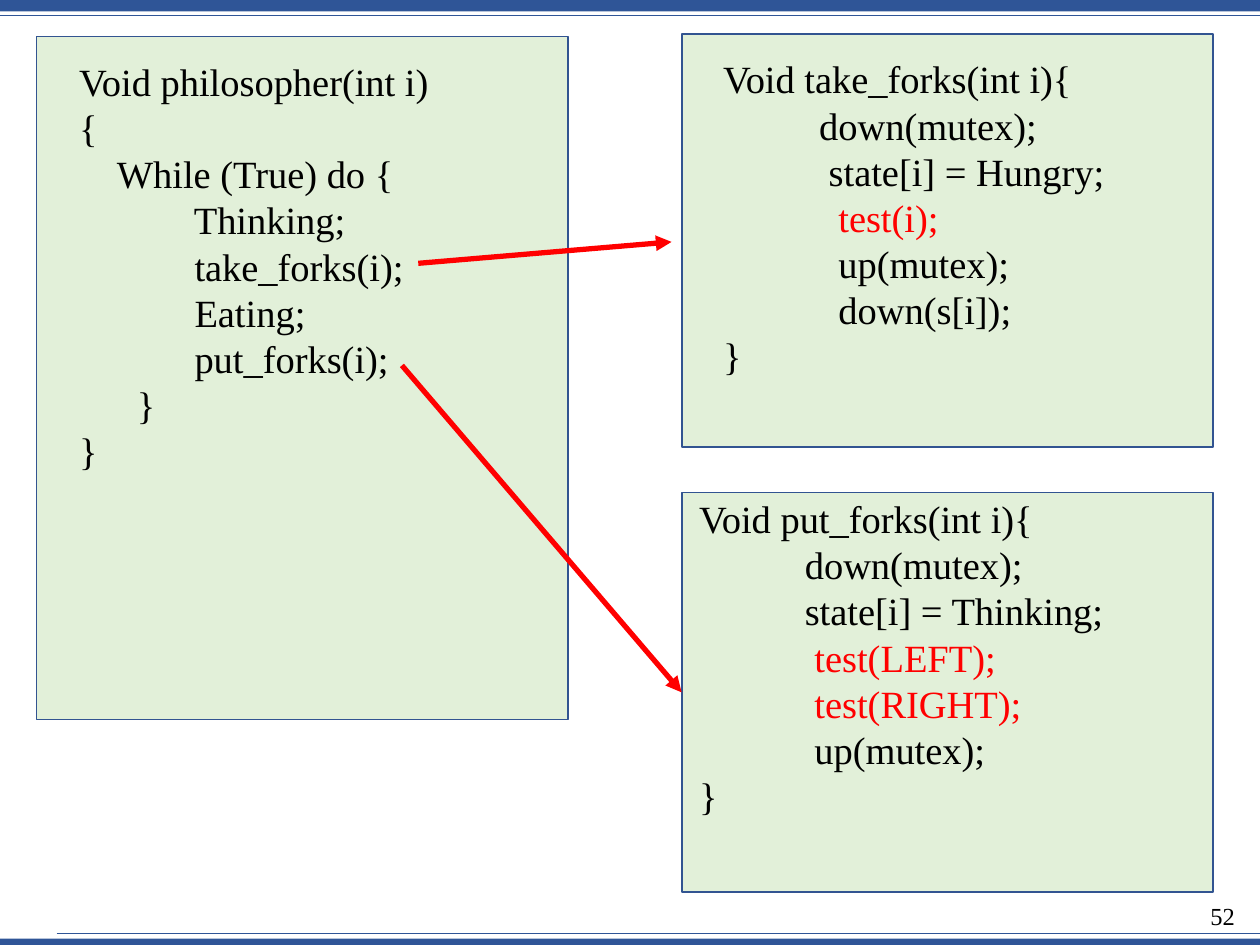
from dataclasses import dataclass
from typing import Optional

from pptx import Presentation
from pptx.dml.color import RGBColor
from pptx.enum.shapes import MSO_CONNECTOR, MSO_SHAPE
from pptx.enum.text import MSO_ANCHOR, PP_ALIGN
from pptx.oxml.ns import qn
from pptx.shapes.autoshape import Shape
from pptx.shapes.connector import Connector
from pptx.slide import Slide
from pptx.util import Inches, Pt
from lxml.etree import SubElement

COLUMN = Inches(10) / 100
ROW = Inches(7.5) / 75
FONT = "Times New Roman"
BLUE = RGBColor(0x2F, 0x55, 0x97)
BORDER = RGBColor(0x32, 0x54, 0x91)
GREEN = RGBColor(0xE2, 0xF0, 0xD9)
RED = RGBColor(0xFF, 0x00, 0x00)
BLACK = RGBColor(0x00, 0x00, 0x00)


@dataclass(frozen=True)
class Area:
    """Place on the grid, in columns and rows."""
    left: float
    top: float
    width: float
    height: float

    def lengths(self) -> tuple[int, int, int, int]:
        """Return left, top, width and height in slide units."""
        return (round(self.left * COLUMN), round(self.top * ROW),
                round(self.width * COLUMN), round(self.height * ROW))


@dataclass(frozen=True)
class CodePanel:
    """Framed listing whose calls to test are highlighted."""
    frame: Area
    listing: Area
    code: str


@dataclass(frozen=True)
class Line:
    """Straight line between two grid points."""
    start: tuple[float, float]
    end: tuple[float, float]
    color: RGBColor
    weight: float
    arrow: bool = False


BANDS = (Area(0, 74.5, 100, 0.5), Area(0, 0, 100, 0.9))
RULES = (
    Line((0, 1.2), (100, 1.2), BLUE, 0.5),
    Line((4.5, 74.1), (100, 74.1), BLUE, 0.5),
)
PANELS = (
    CodePanel(Area(2.9, 2.9, 42.2, 54.2), Area(5.3, 4.1, 37.8, 34.3), """\
Void philosopher(int i)
{
    While (True) do {
            Thinking;
            take_forks(i);
            Eating;
            put_forks(i);
      }
}"""),
    CodePanel(Area(54.1, 2.7, 42.2, 32.8), Area(56.4, 3.9, 43, 26.9), """\
Void take_forks(int i){
          down(mutex);
           state[i] = Hungry;
            test(i);
            up(mutex);
            down(s[i]);
}"""),
    CodePanel(Area(54.1, 39.1, 42.2, 31.7), Area(54.5, 38.8, 44.5, 26.9), """\
Void put_forks(int i){
           down(mutex);
           state[i] = Thinking;
            test(LEFT);
            test(RIGHT);
            up(mutex);
}"""),
)
TAKE_ARROW = Line((33.2, 20.9), (53.3, 19.2), RED, 3, arrow=True)
PUT_ARROW = Line((31.9, 29), (54.1, 55), RED, 3, arrow=True)


def add_rectangle(slide: Slide, area: Area, fill: RGBColor,
                  border: Optional[RGBColor] = None) -> Shape:
    """Draw a flat rectangle, with a thin border if one is given."""
    shape = slide.shapes.add_shape(MSO_SHAPE.RECTANGLE, *area.lengths())
    shape.shadow.inherit = False
    shape.fill.solid()
    shape.fill.fore_color.rgb = fill
    if border is None:
        shape.line.fill.background()
    else:
        shape.line.color.rgb = border
        shape.line.width = Pt(1)
    return shape


def add_line(slide: Slide, line: Line) -> Connector:
    """Draw a straight connector, with an arrowhead if asked for."""
    (left, top), (right, bottom) = line.start, line.end
    connector = slide.shapes.add_connector(
        MSO_CONNECTOR.STRAIGHT, round(left * COLUMN), round(top * ROW),
        round(right * COLUMN), round(bottom * ROW))
    connector.line.color.rgb = line.color
    connector.line.width = Pt(line.weight)
    if line.arrow:
        SubElement(connector.line._get_or_add_ln(), qn("a:tailEnd"), type="triangle")
    SubElement(connector._element.spPr, qn("a:effectLst"))
    return connector


def add_text(slide: Slide, area: Area, text: str, *, size: float,
             align: PP_ALIGN = PP_ALIGN.LEFT, highlight: Optional[str] = None) -> None:
    """Write one paragraph per line, in red where the highlight occurs."""
    frame = slide.shapes.add_textbox(*area.lengths()).text_frame
    frame.word_wrap = True
    frame.vertical_anchor = MSO_ANCHOR.TOP
    for index, content in enumerate(text.splitlines()):
        paragraph = frame.add_paragraph() if index else frame.paragraphs[0]
        paragraph.alignment = align
        run = paragraph.add_run()
        run.text = content
        run.font.name = FONT
        run.font.size = Pt(size)
        run.font.color.rgb = RED if highlight and highlight in content else BLACK


def add_panel(slide: Slide, panel: CodePanel) -> Shape:
    """Draw a panel with its listing and return the frame."""
    frame = add_rectangle(slide, panel.frame, GREEN, BORDER)
    add_text(slide, panel.listing, panel.code, size=22, highlight="test(")
    return frame


def main() -> None:
    """Build the slide and save it."""
    presentation = Presentation()
    presentation.slide_width = round(100 * COLUMN)
    presentation.slide_height = round(75 * ROW)
    slide = presentation.slides.add_slide(presentation.slide_layouts[6])
    for band in BANDS:
        add_rectangle(slide, band, BLUE)
    for rule in RULES:
        add_line(slide, rule)
    add_text(slide, Area(93.6, 71, 5.4, 4), "52", size=14, align=PP_ALIGN.RIGHT)
    frames = [add_panel(slide, panel) for panel in PANELS]
    add_line(slide, TAKE_ARROW)
    add_line(slide, PUT_ARROW).end_connect(frames[-1], 1)
    presentation.save("out.pptx")


if __name__ == "__main__":
    main()
